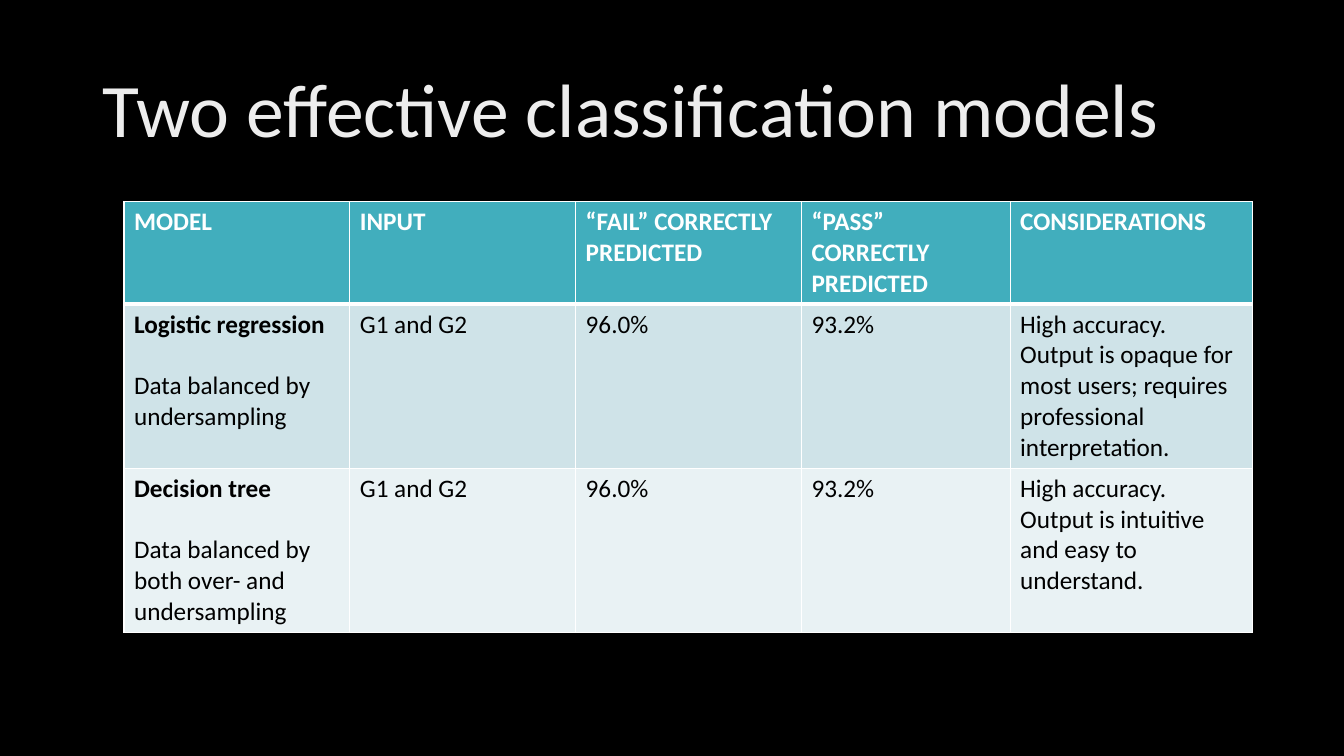
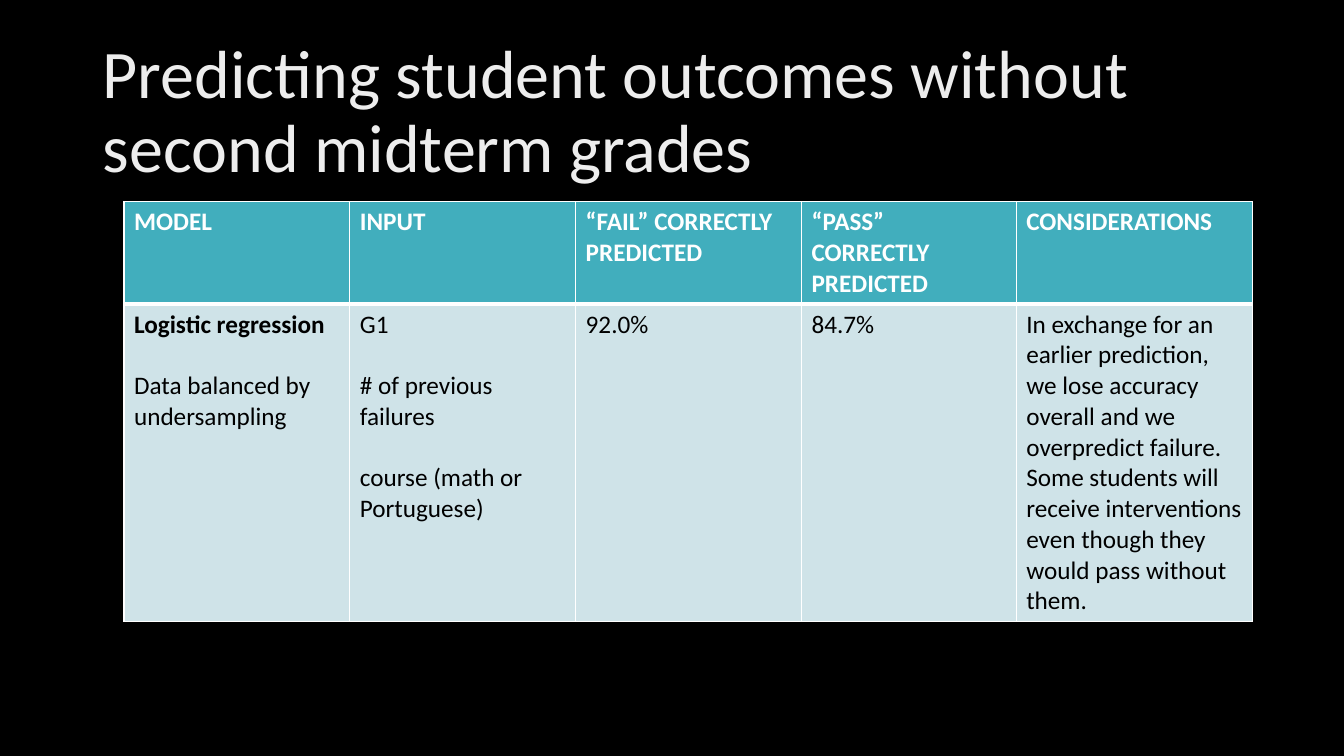
from lxml import etree
from pptx import Presentation
from pptx.dml.color import RGBColor
from pptx.enum.text import MSO_ANCHOR, MSO_AUTO_SIZE, PP_ALIGN
from pptx.oxml.ns import qn
from pptx.util import Inches, Pt

MIDDLE = MSO_ANCHOR.MIDDLE
NO_AUTOFIT = MSO_AUTO_SIZE.NONE
LEFT = PP_ALIGN.LEFT

BLACK = RGBColor(0x00, 0x00, 0x00)
WHITE = RGBColor(0xFF, 0xFF, 0xFF)
TITLE_GRAY = RGBColor(0xED, 0xED, 0xED)
TEAL = RGBColor(0x41, 0xAE, 0xBD)
BAND_DARK = RGBColor(0xCF, 0xE3, 0xE8)
BAND_LIGHT = RGBColor(0xE9, 0xF2, 0xF4)

TITLE_ONLY = 5
FONT = "Calibri"
TEXT_SIZE = Pt(18)
LINE_GAP = Pt(22)
THIN, THICK = Pt(1), Pt(3)
HEADER_HEIGHT = 1.01
HEADINGS = ["MODEL", "INPUT", "“FAIL” CORRECTLY PREDICTED",
            "“PASS” CORRECTLY PREDICTED", "CONSIDERATIONS"]


class Deck:
    """Holds the shared style and the slide being built."""

    def __init__(self):
        self.prs = Presentation()
        self.prs.slide_width = Inches(13.33)
        self.prs.slide_height = Inches(7.5)
        fill = self.prs.slide_master.background.fill
        fill.solid()
        fill.fore_color.rgb = BLACK
        self.s = None

    def add_slide(self, title, size):
        self.s = self.prs.slides.add_slide(self.prs.slide_layouts[TITLE_ONLY])
        sp = self.s.shapes.title
        sp.left, sp.top = Inches(0.92), Inches(0.4)
        sp.width, sp.height = Inches(11.5), Inches(1.45)
        tf = sp.text_frame
        tf.text = title
        tf.word_wrap = True
        tf.auto_size = NO_AUTOFIT
        tf.vertical_anchor = MIDDLE
        p = tf.paragraphs[0]
        p.alignment = LEFT
        p.line_spacing = 0.9
        self.format_runs(p, size, TITLE_GRAY)

    def format_runs(self, p, size, color, bold=False):
        for r in p.runs:
            r.font.name = FONT
            r.font.size = size
            r.font.bold = bold
            r.font.color.rgb = color

    def add_table(self, widths, row_height, records):
        """Draw the headings and banded records; the first line of each record is bold."""
        rows = [HEADINGS] + records
        heights = [HEADER_HEIGHT] + [row_height] * len(records)
        table = self.s.shapes.add_table(
            len(rows), len(widths), Inches(1.23), Inches(2),
            Inches(sum(widths)), Inches(sum(heights))).table
        for column, width in zip(table.columns, widths):
            column.width = Inches(width)
        for i, (texts, height) in enumerate(zip(rows, heights)):
            table.rows[i].height = Inches(height)
            for j, text in enumerate(texts):
                self.fill_cell(table.cell(i, j), text, i, j)

    def fill_cell(self, cell, text, row, column):
        header = row == 0
        self.set_borders(cell, top=THICK if row == 1 else THIN,
                         bottom=THICK if header else THIN)
        cell.fill.solid()
        band = BAND_DARK if row % 2 else BAND_LIGHT
        cell.fill.fore_color.rgb = TEAL if header else band
        cell.text_frame.text = text
        for n, p in enumerate(cell.text_frame.paragraphs):
            if n:
                p.space_before = LINE_GAP
            self.format_runs(p, TEXT_SIZE, WHITE if header else BLACK,
                             bold=header or (column == 0 and n == 0))

    def set_borders(self, cell, top, bottom):
        tcPr = cell._tc.get_or_add_tcPr()
        for side, width in (("L", THIN), ("R", THIN), ("T", top), ("B", bottom)):
            ln = etree.SubElement(tcPr, qn(f"a:ln{side}"), w=str(width))
            fill = etree.SubElement(ln, qn("a:solidFill"))
            etree.SubElement(fill, qn("a:srgbClr"), val=str(WHITE))


def main():
    deck = Deck()

    deck.add_slide("Two effective classification models", Pt(54))
    deck.add_table([2.24, 2.24, 2.24, 2.07, 2.4], 1.63, [
        ["Logistic regression\nData balanced by undersampling",
         "G1 and G2", "96.0%", "93.2%",
         "High accuracy. Output is opaque for most users; "
         "requires professional interpretation."],
        ["Decision tree\nData balanced by both over- and undersampling",
         "G1 and G2", "96.0%", "93.2%",
         "High accuracy. Output is intuitive and easy to understand."],
    ])

    deck.add_slide("Predicting student outcomes without\vsecond midterm grades",
                   Pt(48.6))
    deck.add_table([2.24, 2.24, 2.24, 2.13, 2.34], 3.15, [
        ["Logistic regression\nData balanced by undersampling",
         "G1\n# of previous failures\ncourse (math or Portuguese)",
         "92.0%", "84.7%",
         "In exchange for an earlier prediction, we lose accuracy overall "
         "and we overpredict failure. Some students will receive "
         "interventions even though they would pass without them."],
    ])

    deck.prs.save("out.pptx")


if __name__ == "__main__":
    main()
